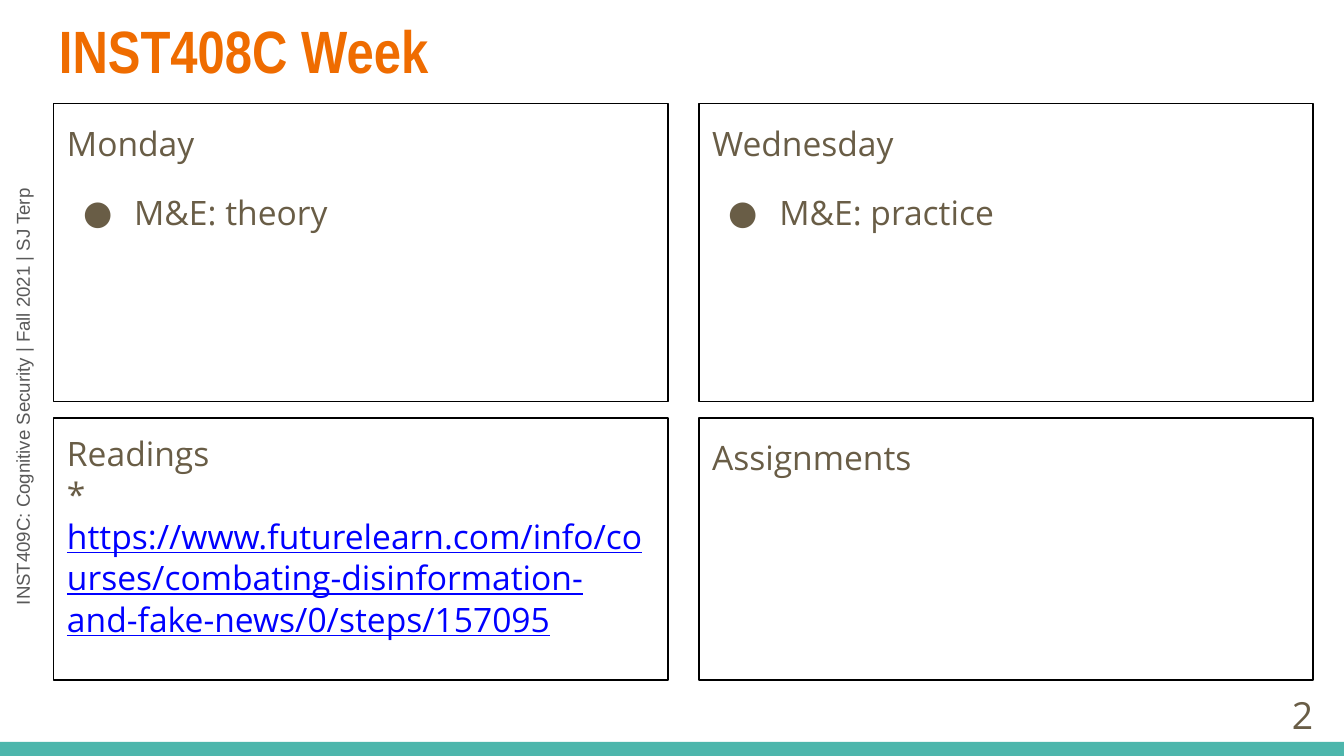
from pptx import Presentation
from pptx.dml.color import RGBColor
from pptx.enum.shapes import MSO_SHAPE
from pptx.enum.text import MSO_ANCHOR, PP_ALIGN
from pptx.oxml.ns import qn
from pptx.util import Inches, Pt
from lxml.etree import SubElement

COLORS = {
    "title": "EF6C00",
    "text": "695D46",
    "course": "595959",
    "link": "0000FF",
    "band": "4DB6AC",
    "border": "000000",
}
LINK = ("https://www.futurelearn.com/info/courses/"
        "combating-disinformation-and-fake-news/0/steps/157095")


def color(name):
    return RGBColor.from_string(COLORS[name])


def set_font(font, name, size, color_name, bold=False):
    font.name = name
    font.size = Pt(size)
    font.bold = bold
    font.color.rgb = color(color_name)


def prepare_frame(shape, anchor=MSO_ANCHOR.TOP):
    """Set equal insets, wrapping and the vertical anchor."""
    frame = shape.text_frame
    frame.word_wrap = True
    frame.vertical_anchor = anchor
    frame.margin_left = frame.margin_right = Inches(0.1)
    frame.margin_top = frame.margin_bottom = Inches(0.1)
    return frame


def add_label(slide, box, text, font, anchor=MSO_ANCHOR.TOP,
              alignment=PP_ALIGN.LEFT, rotation=0):
    """Add a one-line text box; font holds the arguments of set_font."""
    shape = slide.shapes.add_textbox(*map(Inches, box))
    shape.rotation = rotation
    paragraph = prepare_frame(shape, anchor).paragraphs[0]
    paragraph.text = text
    paragraph.alignment = alignment
    set_font(paragraph.font, *font)


def add_rectangle(slide, box):
    shape = slide.shapes.add_shape(MSO_SHAPE.RECTANGLE, *map(Inches, box))
    shape.shadow.inherit = False
    return shape


def add_bullet(paragraph):
    properties = paragraph._p.get_or_add_pPr()
    properties.set("marL", str(Inches(0.5)))
    properties.set("indent", str(Inches(-0.38)))
    bullet_color = SubElement(properties, qn("a:buClr"))
    SubElement(bullet_color, qn("a:srgbClr")).set("val", COLORS["text"])
    SubElement(properties, qn("a:buFont")).set("typeface", "Open Sans")
    SubElement(properties, qn("a:buChar")).set("char", "●")


def add_panel(slide, box, heading, bullets=(), link=None, spacing=1.15):
    """Add a bordered panel with a heading, then bullets or a starred link."""
    border = add_rectangle(slide, box)
    border.fill.background()
    border.line.color.rgb = color("border")
    border.line.width = Pt(0.75)
    left, top, width, height = box
    text_box = (left, top, width - 0.02, height - 0.01)
    frame = prepare_frame(slide.shapes.add_textbox(*map(Inches, text_box)))
    frame.paragraphs[0].text = heading
    for text in bullets:
        paragraph = frame.add_paragraph()
        paragraph.text = text
        paragraph.space_before = Pt(12)
        add_bullet(paragraph)
    if link:
        paragraph = frame.add_paragraph()
        paragraph.add_run().text = "* "
        run = paragraph.add_run()
        run.text = link
        run.font.underline = True
        run.font.color.rgb = color("link")
    for paragraph in frame.paragraphs:
        paragraph.alignment = PP_ALIGN.LEFT
        paragraph.line_spacing = spacing
        set_font(paragraph.font, "Open Sans", 18, "text")


def add_panel_grid(slide, left, top):
    width, upper_height, lower_height = 4.57, 2.22, 1.95
    right = left + width + 0.23
    lower = top + upper_height + 0.12
    add_panel(slide, (left, top, width, upper_height), "Monday",
              bullets=["M&E: theory"])
    add_panel(slide, (right, top, width, upper_height), "Wednesday",
              bullets=["M&E: practice"])
    add_panel(slide, (left, lower, width, lower_height), "Readings",
              link=LINK, spacing=1.03)
    add_panel(slide, (right, lower, width, lower_height), "Assignments")


def add_frame_parts(slide):
    """Add the course line, bottom band, title and page number."""
    add_label(slide, (-1.61, 2.64, 3.57, 0.35),
              "INST409C: Cognitive Security | Fall 2021 | SJ Terp",
              ("Arial", 10, "course"), rotation=270)
    band = add_rectangle(slide, (0, 5.52, 10, 0.11))
    band.fill.solid()
    band.fill.fore_color.rgb = color("band")
    band.line.fill.background()
    add_label(slide, (0.34, 0, 9.32, 0.77), "INST408C Week",
              ("Arial Narrow", 32, "title", True))
    add_label(slide, (9.5, 5.05, 0.37, 0.53), "2", ("Open Sans", 20, "text"),
              anchor=MSO_ANCHOR.MIDDLE, alignment=PP_ALIGN.RIGHT)


def main():
    presentation = Presentation()
    presentation.slide_width = Inches(10)
    presentation.slide_height = Inches(10 * 9 / 16)
    slide = presentation.slides.add_slide(presentation.slide_layouts[6])
    add_frame_parts(slide)
    add_panel_grid(slide, 0.4, 0.77)
    presentation.save("out.pptx")


if __name__ == "__main__":
    main()
